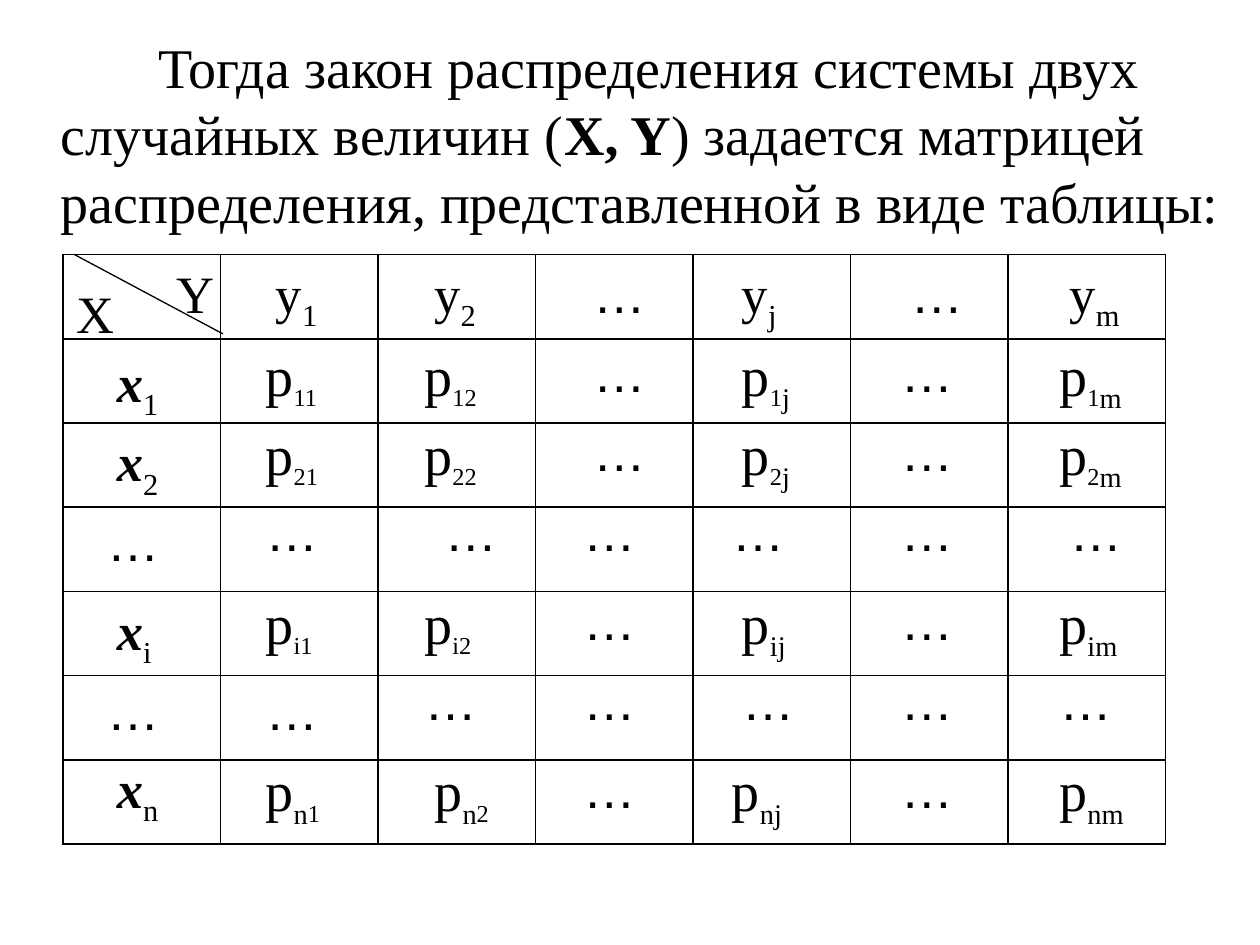
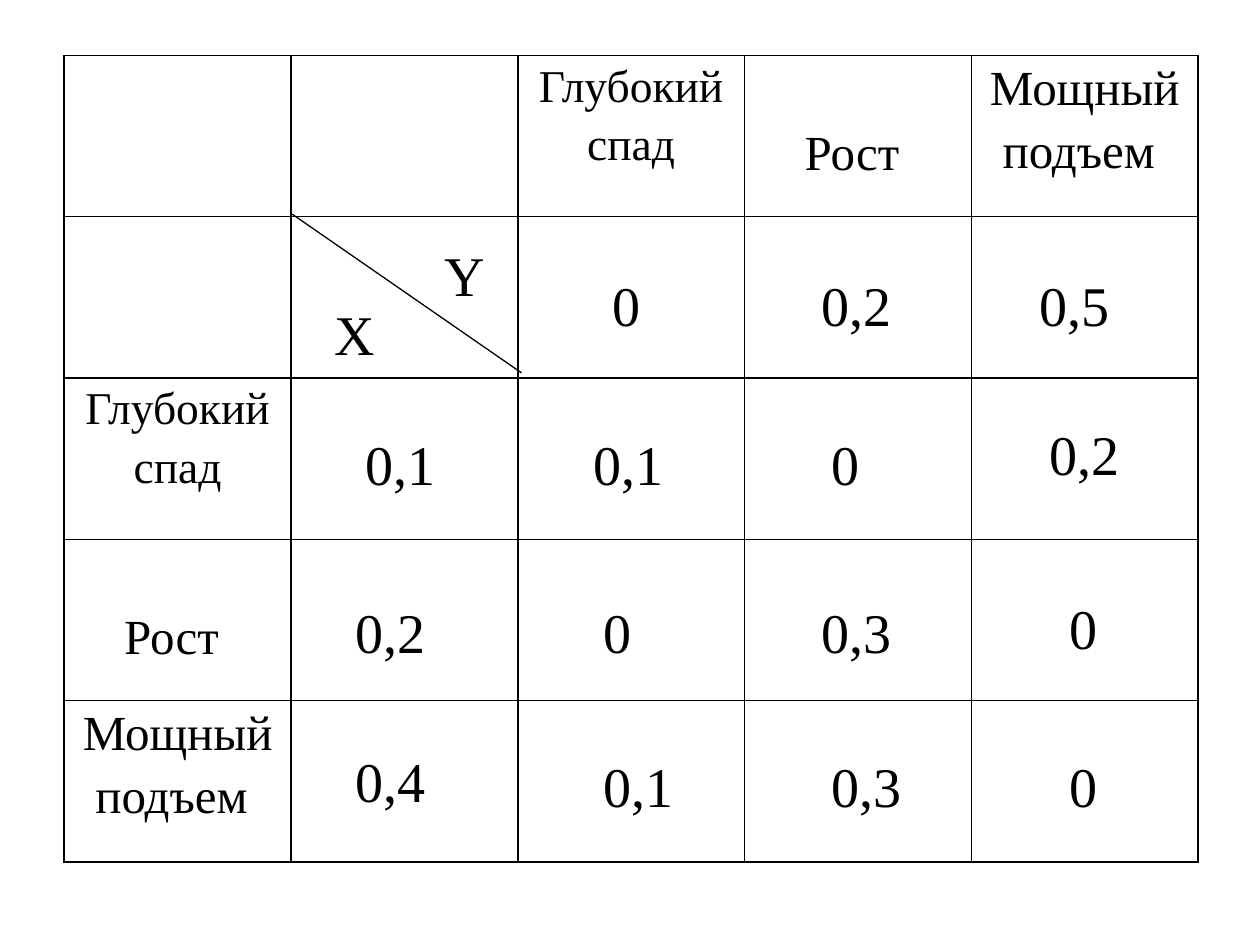
from dataclasses import dataclass
from itertools import groupby

from lxml import etree
from pptx import Presentation
from pptx.dml.color import RGBColor
from pptx.enum.shapes import MSO_CONNECTOR
from pptx.enum.text import MSO_ANCHOR, MSO_AUTO_SIZE, PP_ALIGN
from pptx.oxml.ns import qn
from pptx.util import Inches, Pt

STRAIGHT = MSO_CONNECTOR.STRAIGHT
TOP, MIDDLE = MSO_ANCHOR.TOP, MSO_ANCHOR.MIDDLE
LEFT, CENTER = PP_ALIGN.LEFT, PP_ALIGN.CENTER
NO_AUTOFIT = MSO_AUTO_SIZE.NONE
TITLE_ONLY, BLANK = 5, 6


@dataclass(frozen=True)
class Theme:
    """Colours, fonts and type sizes shared by the slides."""
    ink: RGBColor = RGBColor(0, 0, 0)
    serif: str = "Times New Roman"
    sans: str = "Arial"
    large: int = 32
    symbol: int = 30
    label: int = 28
    small_label: int = 26
    index: int = 24
    border: float = 1
    diagonal: float = 0.75


THEME = Theme()

MATRIX = [
    ["", "y_1", "y_2", "…", "y_j", "…", "y_m"],
    ["x_1", "p_11", "p_12", "…", "p_1j", "…", "p_1m"],
    ["x_2", "p_21", "p_22", "…", "p_2j", "…", "p_2m"],
    ["…", "…", "…", "…", "…", "…", "…"],
    ["x_i", "p_i1", "p_i2", "…", "p_ij", "…", "p_im"],
    ["…", "…", "…", "…", "…", "…", "…"],
    ["x_n", "p_n1", "p_n2", "…", "p_nj", "…", "p_nm"],
]
MATRIX_TOPS = [2.02, 2.65, 3.28, 3.91, 4.62, 5.25, 5.95]
NUDGE = 0.08
NUDGES_RIGHT = [
    [0, 1, 1, 1, 0, 1, 1],
    [1, 0, 0, 1, 0, 0, 0],
    [1, 0, 0, 1, 0, 0, 0],
    [0, 0, 2, 0, -1, 0, 1],
    [1, 0, 0, 0, 0, 0, 0],
    [0, 0, 0, 0, 0, 0, 0],
    [1, 0, 1, 0, -1, 0, 0],
]
NUDGED_DOWN = {(1, 0), (2, 0), (3, 0), (4, 0), (5, 0), (5, 1)}

DECLINE = (["Глубокий", "спад"], THEME.small_label, 0.05)
GROWTH = (["Рост "], THEME.label, 0.57)
BOOM = (["Мощный", "подъем "], THEME.label, 0.05)
STATES = [DECLINE, GROWTH, BOOM]

PROBABILITIES = [
    ("0", 4.76, 2.1), ("0,2", 6.42, 2.1), ("0,5", 8.15, 2.1),
    ("0,1", 2.8, 3.36), ("0,1", 4.61, 3.36), ("0", 6.5, 3.36), ("0,2", 8.23, 3.28),
    ("0,2", 2.72, 4.69), ("0", 4.69, 4.69), ("0,3", 6.42, 4.69), ("0", 8.39, 4.66),
    ("0,4", 2.72, 5.88), ("0,1", 4.69, 5.92), ("0,3", 6.5, 5.92), ("0", 8.39, 5.92),
]


def set_font(font, size, name=THEME.serif):
    """Apply the family, size and ink colour to a font."""
    font.name = name
    font.size = Pt(size)
    font.color.rgb = THEME.ink


def add_box(slide, left, top, width, height, anchor=TOP):
    """Add an empty text box and return its first paragraph."""
    sp = slide.shapes.add_textbox(Inches(left), Inches(top), Inches(width), Inches(height))
    tf = sp.text_frame
    tf.word_wrap = True
    tf.auto_size = NO_AUTOFIT
    tf.vertical_anchor = anchor
    return tf.paragraphs[0]


def add_text(slide, text, left, top, width, height, size, name=THEME.serif, anchor=TOP):
    """Add a text box holding one plain line."""
    p = add_box(slide, left, top, width, height, anchor)
    p.text = text
    set_font(p.font, size, name)


def add_subscript(p, text, size):
    """Append a lowered run to a paragraph."""
    r = p.add_run()
    r.text = text
    r.font.size = Pt(size)
    r._r.get_or_add_rPr().set("baseline", "-25000")


def add_symbol(slide, notation, left, top, width):
    """Add a base letter with its subscript, written as base_index."""
    base, index = notation.split("_")
    p = add_box(slide, left, top, width, 0.67)
    set_font(p.font, THEME.large if base == "p" else THEME.symbol)
    r = p.add_run()
    r.text = base
    r.font.size = p.font.size
    if base == "x":
        r.font.bold = r.font.italic = True
    if base != "p":
        add_subscript(p, index, THEME.symbol)
        return
    for small, chars in groupby(index, lambda c: c.isdigit() or index in ("i1", "i2")):
        add_subscript(p, "".join(chars), THEME.index if small else THEME.label)


def add_diagonal(slide, x1, y1, x2, y2):
    """Draw the line that splits the corner cell."""
    line = slide.shapes.add_connector(STRAIGHT, Inches(x1), Inches(y1), Inches(x2), Inches(y2))
    line.line.color.rgb = THEME.ink
    line.line.width = Pt(THEME.diagonal)
    etree.SubElement(line._element.spPr, qn("a:effectLst"))


def set_borders(cell):
    """Give a cell solid borders on all four sides."""
    tcPr = cell._tc.get_or_add_tcPr()
    for i, side in enumerate(("lnL", "lnR", "lnT", "lnB")):
        ln = etree.Element(qn(f"a:{side}"), w=str(Pt(THEME.border)))
        fill = etree.SubElement(ln, qn("a:solidFill"))
        etree.SubElement(fill, qn("a:srgbClr"), val=str(THEME.ink))
        tcPr.insert(i, ln)


def add_grid(slide, count, left, top, width, height):
    """Add an unfilled square table with equal rows and columns."""
    frame = slide.shapes.add_table(count, count, Inches(left), Inches(top),
                                   Inches(width), Inches(height))
    table = frame.table
    table.first_row = table.horz_banding = False
    for cell in table.iter_cells():
        cell.fill.background()
        set_borders(cell)
    return table


def fill_state(cell, lines, size, margin_top):
    """Write the name of an economic state into a cell."""
    cell.margin_top = Inches(margin_top)
    tf = cell.text_frame
    tf.text = "\n".join(lines)
    for i, p in enumerate(tf.paragraphs):
        p.alignment = CENTER
        set_font(p.font, size)
        if i:
            p.space_before = Pt(0.18 * size)


def add_title(slide):
    """Fill the title placeholder with the introductory sentence."""
    title = slide.shapes.title
    title.left, title.top = Inches(0.27), Inches(0.21)
    title.width, title.height = Inches(9.6), Inches(1.7)
    tf = title.text_frame
    tf.auto_size = NO_AUTOFIT
    tf.vertical_anchor = MIDDLE
    p = tf.paragraphs[0]
    p.alignment = LEFT
    set_font(p.font, THEME.large)
    pPr = p._p.get_or_add_pPr()
    pPr.set("marL", str(Inches(0.11)))
    pPr.set("indent", str(Inches(0.78)))
    for text, bold in (("Тогда закон распределения системы двух случайных величин (", False),
                       ("X, Y", True),
                       (") задается матрицей распределения, представленной в виде таблицы:", False)):
        r = p.add_run()
        r.text = text
        r.font.bold = bold


def build_matrix_slide(prs):
    """Build the general distribution matrix."""
    slide = prs.slides.add_slide(prs.slide_layouts[TITLE_ONLY])
    add_title(slide)
    add_grid(slide, 7, 0.5, 2.02, 8.75, 4.68)
    add_diagonal(slide, 0.59, 2.02, 1.77, 2.65)
    add_text(slide, "Y", 1.3, 2.02, 0.51, 0.55, THEME.symbol)
    add_text(slide, "X", 0.51, 2.18, 0.52, 0.52, THEME.symbol)
    for row, notations in enumerate(MATRIX):
        for col, notation in enumerate(notations):
            left = 0.75 + 1.26 * col + NUDGE * NUDGES_RIGHT[row][col]
            top = MATRIX_TOPS[row] + NUDGE * ((row, col) in NUDGED_DOWN)
            if notation == "…":
                add_text(slide, notation, left, top, 0.67, 0.67, THEME.symbol, THEME.sans)
            elif notation:
                add_symbol(slide, notation, left, top, 0.85 if col == 6 else 0.75)


def build_example_slide(prs):
    """Build the example with three economic states."""
    slide = prs.slides.add_slide(prs.slide_layouts[BLANK])
    table = add_grid(slide, 5, 0.51, 0.44, 9, 6.4)
    for i, state in enumerate(STATES, start=2):
        fill_state(table.cell(0, i), *state)
        fill_state(table.cell(i, 0), *state)
    add_diagonal(slide, 2.32, 1.7, 4.14, 2.96)
    add_text(slide, "Y", 3.43, 1.86, 0.59, 0.52, THEME.large)
    add_text(slide, "X", 2.56, 2.33, 0.59, 0.51, THEME.large)
    for text, left, top in PROBABILITIES:
        width = 0.5 if text == "0" else 0.87
        add_text(slide, text, left, top, width, 0.63, THEME.large, anchor=MIDDLE)


def main():
    """Build and save the presentation."""
    prs = Presentation()
    prs.slide_width, prs.slide_height = Inches(10), Inches(7.5)
    build_matrix_slide(prs)
    build_example_slide(prs)
    prs.save("out.pptx")


if __name__ == "__main__":
    main()
